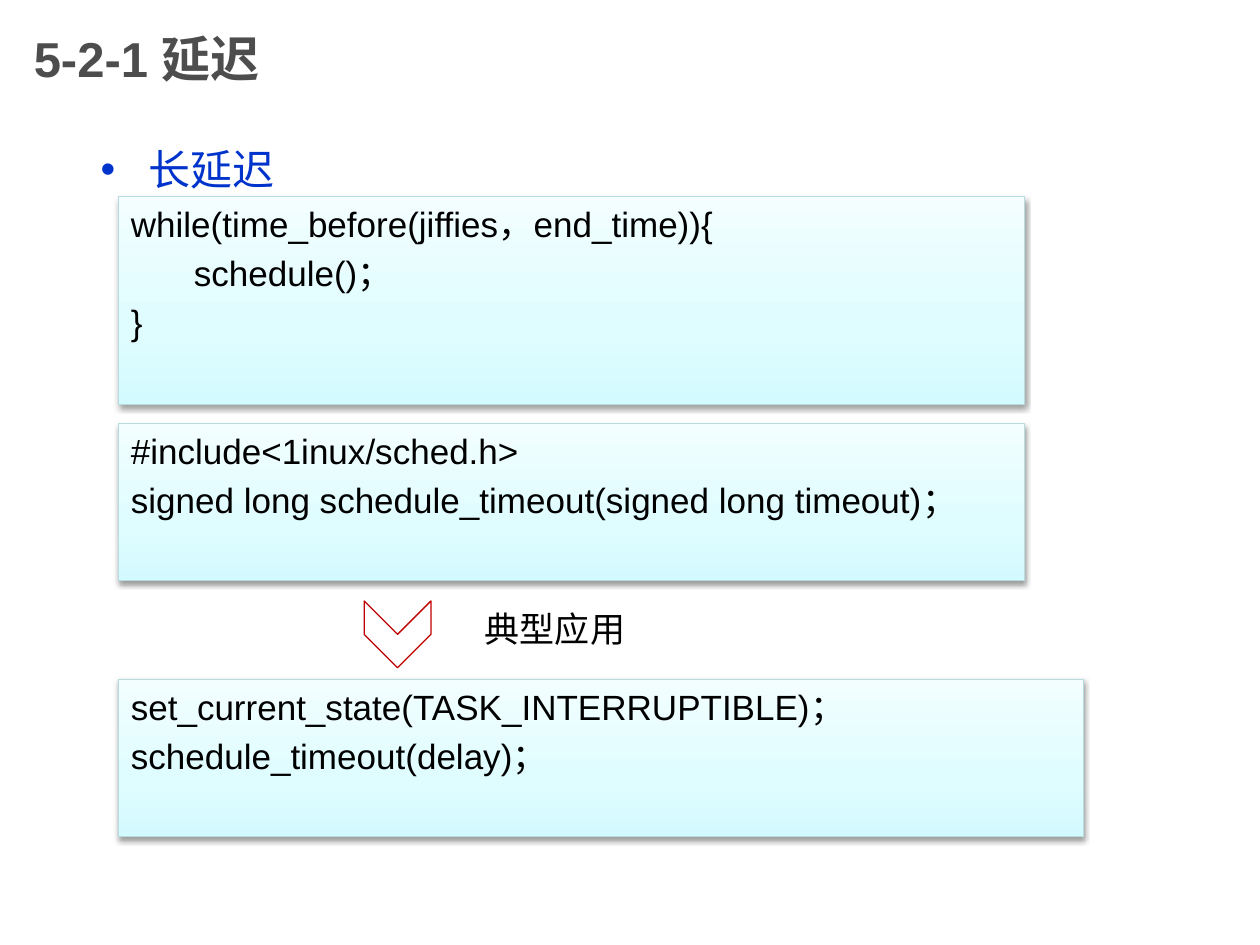
"""Build the slide about long delays in kernel code."""
from copy import deepcopy

from lxml.etree import SubElement
from pptx import Presentation
from pptx.dml.color import RGBColor
from pptx.enum.shapes import MSO_SHAPE as Shape
from pptx.enum.text import MSO_ANCHOR as Anchor
from pptx.oxml.ns import qn
from pptx.util import Inches, Pt


def rgb(value):
    return RGBColor.from_string(value)


def write(frame, text, size=20, color="000000", bold=False, wrap=True,
          anchor=Anchor.TOP, before=0.2):
    frame.word_wrap = wrap
    frame.vertical_anchor = anchor
    for index, line in enumerate(text.split("\n")):
        paragraph = frame.paragraphs[0] if index == 0 else frame.add_paragraph()
        paragraph.alignment = 1
        paragraph.space_before = Pt(size * before)
        run = paragraph.add_run()
        run.text = line
        run.font.name = "Arial"
        run.font.size = Pt(size)
        run.font.bold = bold
        run.font.color.rgb = rgb(color)


prs = Presentation()
prs.slide_width, prs.slide_height = Inches(10), Inches(7.5)
slide = prs.slides.add_slide(prs.slide_layouts[6])
shapes = slide.shapes

title = shapes.add_textbox(Inches(0.17), Inches(0), Inches(7.5), Inches(0.92))
write(title.text_frame, "5-2-1 延迟", size=28, color="4D4D4D", bold=True,
      anchor=Anchor.MIDDLE, before=0)

topic = shapes.add_textbox(Inches(0.7), Inches(1.09), Inches(8.5), Inches(5.17))
write(topic.text_frame, "长延迟", size=24, color="0033CC")
topic_format = topic.text_frame.paragraphs[0]._p.get_or_add_pPr()
topic_format.set("marL", str(Inches(0.38)))
topic_format.set("indent", str(Inches(-0.38)))
SubElement(topic_format, qn("a:buFont"), typeface="Arial")
SubElement(topic_format, qn("a:buChar"), char="•")

code_blocks = [
    (1.56, 7.19, 1.65, "while(time_before(jiffies，end_time)){\n \tschedule()；\n}"),
    (3.36, 7.19, 1.25,
     "#include<1inux/sched.h>\nsigned long schedule_timeout(signed long timeout)；"),
    (5.39, 7.66, 1.25,
     "set_current_state(TASK_INTERRUPTIBLE)；\nschedule_timeout(delay)；"),
]
for top, width, height, code in code_blocks:
    block = shapes.add_shape(Shape.RECTANGLE, Inches(0.94), Inches(top),
                             Inches(width), Inches(height))
    block.fill.gradient()
    block.fill.gradient_angle = 90
    stop_list = block._element.spPr.find(".//" + qn("a:gsLst"))
    stop_list.insert(1, deepcopy(stop_list[0]))
    tints = [(0, "D3FBFF"), (0.35, "DFFCFF"), (1, "F2FEFF")]
    for stop, (position, tint) in zip(block.fill.gradient_stops, tints):
        stop.position = position
        stop.color.rgb = rgb(tint)
    block.line.color.rgb = rgb("B6DCDF")
    block.line.width = Pt(0.75)
    block.shadow.inherit = False
    effects = block._element.spPr.find(qn("a:effectLst"))
    shadow = SubElement(effects, qn("a:outerShdw"), blurRad=str(Pt(3.1)),
                        dist=str(Pt(1.6)), dir="5400000", rotWithShape="0")
    shade = SubElement(shadow, qn("a:srgbClr"), val="000000")
    SubElement(shade, qn("a:alpha"), val="38000")
    write(block.text_frame, code)

chevron = shapes.add_shape(Shape.CHEVRON, Inches(2.89), Inches(4.77),
                           Inches(0.53), Inches(0.53))
chevron.rotation = 90
chevron.fill.background()
chevron.line.color.rgb = rgb("C00000")
chevron.line.width = Pt(0.75)
chevron.shadow.inherit = False

usage = shapes.add_textbox(Inches(3.75), Inches(4.77), Inches(1.32), Inches(0.44))
write(usage.text_frame, "典型应用", wrap=False)

prs.save("out.pptx")
